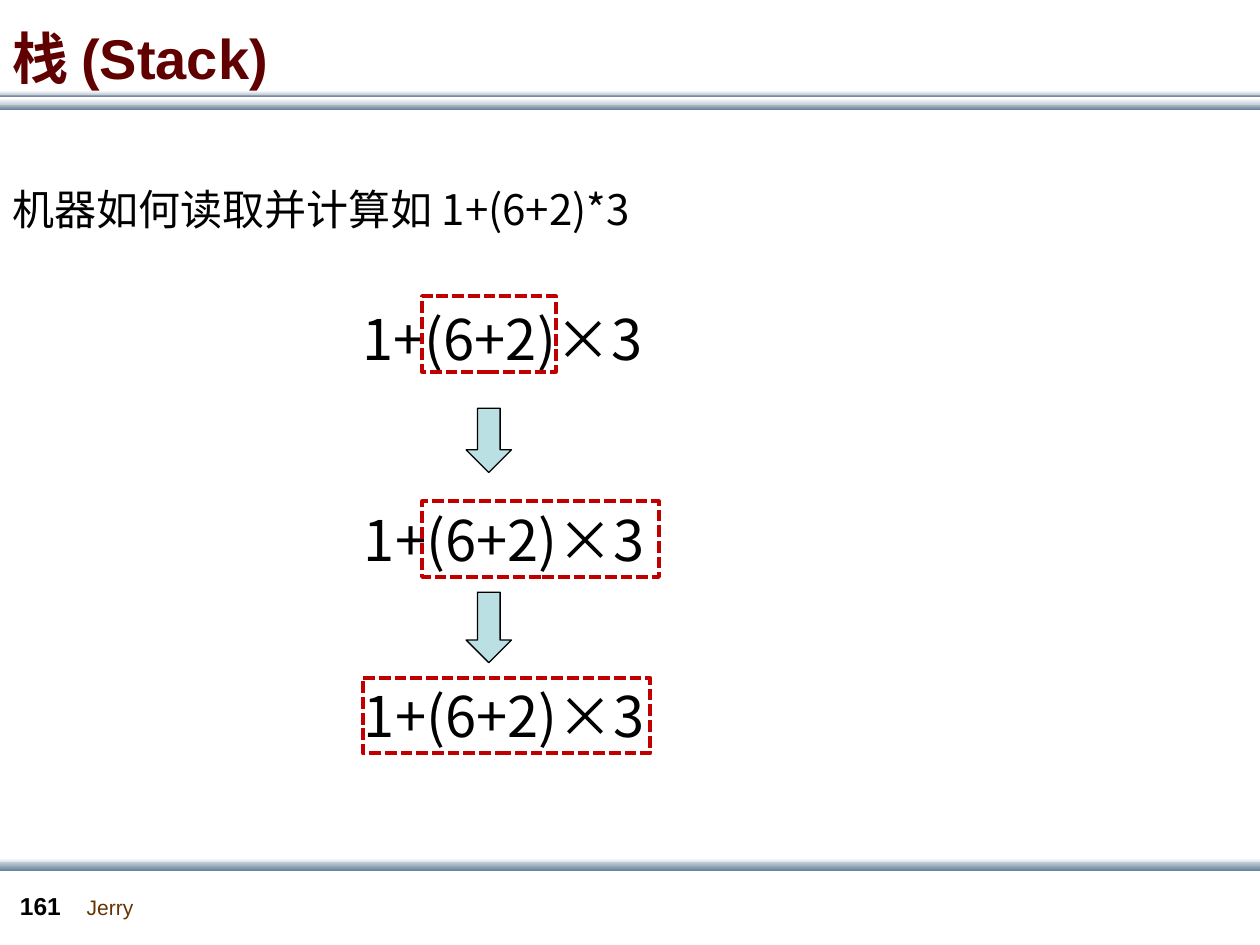
from dataclasses import dataclass

from lxml.etree import SubElement
from pptx import Presentation
from pptx.dml.color import RGBColor
from pptx.enum.dml import MSO_LINE
from pptx.enum.shapes import MSO_SHAPE
from pptx.enum.text import MSO_ANCHOR
from pptx.oxml.ns import qn
from pptx.util import Inches, Pt


@dataclass(frozen=True)
class Theme:
    latin: str = "Arial"
    han: str = "Noto Sans CJK SC"
    ink: str = "000000"
    title: str = "600000"
    author: str = "663300"
    mark: str = "C00000"
    arrow: str = "BBE0E3"
    pale: tuple = ("FFFFFF", "C8D1DA")
    deep: tuple = ("C8D1DA", "6A839C")
    big: int = 32
    body: int = 24
    page: int = 14
    small: int = 12


THEME = Theme()
UNIT = 0.1  # inches per grid cell: 100 columns by 75 rows
COLS, ROWS = 100, 75


def cells(*box):
    return [Inches(n * UNIT) for n in box]


def rgb(code):
    return RGBColor.from_string(code)


def style(font, size, color, face, bold=False):
    font.size, font.bold, font.name = Pt(size), bold, face
    font.color.rgb = rgb(color)


def add_text(slide, box, text, size, color=THEME.ink, face=THEME.han,
             bold=False, wrap=True):
    """Add a one-paragraph text box; return its frame and paragraph."""
    frame = slide.shapes.add_textbox(*cells(*box)).text_frame
    frame.word_wrap = wrap
    para = frame.paragraphs[0]
    para.text = text
    style(para.font, size, color, face, bold)
    props = para._p.pPr.find(qn("a:defRPr"))
    SubElement(props, qn("a:ea")).set("typeface", THEME.han)
    return frame, para


def add_shape(slide, kind, box):
    shape = slide.shapes.add_shape(kind, *cells(*box))
    shape.shadow.inherit = False
    return shape


def add_band(slide, box, tones):
    band = add_shape(slide, MSO_SHAPE.RECTANGLE, box)
    band.line.fill.background()
    band.fill.gradient()
    band.fill.gradient_angle = 270
    for stop, tone in zip(band.fill.gradient_stops, tones):
        stop.color.rgb = rgb(tone)


def add_header(slide, box):
    x, y, w, h = box
    for top, tall, tones in ((8.2, 0.5, THEME.deep), (7.4, 0.3, THEME.deep),
                             (7.8, 0.5, THEME.pale), (7.2, 0.3, THEME.pale)):
        add_band(slide, (x, y + top, w, tall), tones)
    frame, para = add_text(slide, (x, y + 1.4, w * 0.9, 6.3), "栈", THEME.big,
                           THEME.title, bold=True)
    frame.vertical_anchor = MSO_ANCHOR.MIDDLE
    run = para.add_run()
    run.text = " (Stack)"
    run.font.name = THEME.latin


def add_footer(slide, box):
    x, y, w, h = box
    add_band(slide, (x, y, w, 0.5), THEME.pale)
    add_band(slide, (x, y + 0.3, w, 0.7), THEME.deep)
    add_text(slide, (x + 5.9, y + 2.4, 5.7, 3), "Jerry", THEME.small,
             THEME.author, THEME.latin, wrap=False)
    add_text(slide, (x + 0.6, y + 2.1, 5.5, 3.3), "161", THEME.page,
             face=THEME.latin, bold=True)


def add_lead(slide, box):
    para = add_text(slide, box, "机器如何读取并计算如 1+(6+2)*3", THEME.body)[1]
    para.line_spacing = 1.5


def add_step(slide, box, left, wide, drop):
    """Show the formula with a dashed frame from column left, wide columns."""
    x, y, w, h = box
    add_text(slide, box, "1+(6+2)×3", THEME.big)
    frame = add_shape(slide, MSO_SHAPE.RECTANGLE,
                      (x + left, y + drop, wide, 6))
    frame.fill.background()
    frame.line.color.rgb = rgb(THEME.mark)
    frame.line.width = Pt(2.25)
    frame.line.dash_style = MSO_LINE.SQUARE_DOT


def add_arrow(slide, box):
    arrow = add_shape(slide, MSO_SHAPE.DOWN_ARROW, box)
    arrow.fill.solid()
    arrow.fill.fore_color.rgb = rgb(THEME.arrow)
    arrow.line.color.rgb = rgb(THEME.ink)
    arrow.line.width = Pt(0.75)


def add_steps(slide, box):
    x, y, w, h = box
    for dx, dy, left, wide, drop in ((0, 0, 5.7, 10.6, -0.2),
                                     (0.1, 15.9, 5.6, 18.8, 0.2),
                                     (0.1, 29.9, 0.9, 22.8, 0.2)):
        add_step(slide, (x + dx, y + dy, w, 6.4), left, wide, drop)
    for dy, tall in ((8.7, 5.1), (23.3, 5.6)):
        add_arrow(slide, (x + 9.2, y + dy, 3.6, tall))


def main():
    deck = Presentation()
    deck.slide_width, deck.slide_height = cells(COLS, ROWS)
    slide = deck.slides.add_slide(deck.slide_layouts[6])
    add_header(slide, (0, 0, COLS, 8.7))
    add_footer(slide, (0, 68.1, COLS, 6.9))
    add_lead(slide, (0, 12.1, 55.7, 6.1))
    add_steps(slide, (27.8, 23.7, 28.2, 36.3))
    deck.save("out.pptx")


if __name__ == "__main__":
    main()
